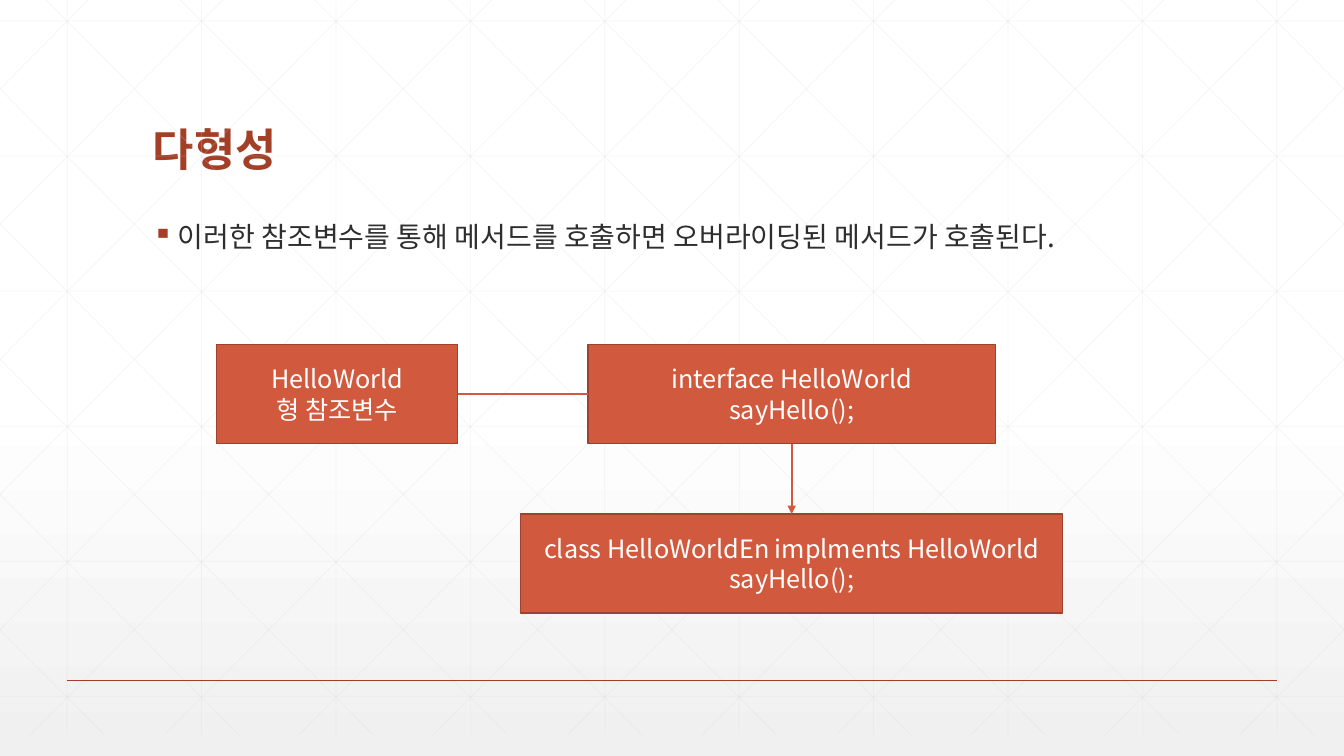
import lxml.etree
import pptx
import pptx.dml.color
import pptx.enum.shapes
import pptx.enum.text
import pptx.oxml.ns
import pptx.util

RGBColor = pptx.dml.color.RGBColor
ALIGN = pptx.enum.text.PP_ALIGN
ANCHOR = pptx.enum.text.MSO_ANCHOR
STRAIGHT = pptx.enum.shapes.MSO_CONNECTOR.STRAIGHT
qn = pptx.oxml.ns.qn

FONT = "Noto Sans CJK KR"
WHITE = RGBColor(0xFF, 0xFF, 0xFF)
PAPER_END = RGBColor(0xF0, 0xF0, 0xF0)
LATTICE = RGBColor(0xD9, 0xD9, 0xD9)
ACCENT = RGBColor(0xA4, 0x3F, 0x27)
INK = RGBColor(0x2D, 0x2E, 0x2D)
BOX_FILL = RGBColor(0xD1, 0x5A, 0x3E)
BOX_LINE = RGBColor(0x9B, 0x43, 0x2E)

UNIT = pptx.util.Inches(1) / 12
COLUMNS, ROWS = 160, 90
PITCH = 16
LEFT, TOP, RIGHT, BOTTOM = 0, 1, 2, 3


def grid(*cells):
    return [round(cell * UNIT) for cell in cells]


def write(frame, text, size=18, color=WHITE, bold=False, align=ALIGN.LEFT,
          anchor=ANCHOR.TOP, line_spacing=None, space_before=None):
    frame.word_wrap = True
    frame.auto_size = pptx.enum.text.MSO_AUTO_SIZE.NONE
    frame.vertical_anchor = anchor
    frame.text = text
    for paragraph in frame.paragraphs:
        paragraph.alignment = align
        paragraph.line_spacing = line_spacing
        paragraph.space_before = space_before
        for run in paragraph.runs:
            run.font.name = FONT
            run.font.size = pptx.util.Pt(size)
            run.font.bold = bold
            run.font.color.rgb = color
            east_asian = lxml.etree.SubElement(run.font._element, qn("a:ea"))
            east_asian.set("typeface", FONT)


def draw_line(slide, start, end, color, width, opacity=None):
    line = slide.shapes.add_connector(STRAIGHT, *grid(*start, *end))
    line.line.color.rgb = color
    line.line.width = pptx.util.Pt(width)
    if opacity:
        tone = line.line._ln.find(".//" + qn("a:srgbClr"))
        lxml.etree.SubElement(tone, qn("a:alpha")).set("val", str(opacity * 1000))
    lxml.etree.SubElement(line._element.spPr, qn("a:effectLst"))
    return line


def draw_background(slide):
    fill = slide.background.fill
    fill.gradient()
    fill.gradient_angle = 270
    for stop, position, color in zip(fill.gradient_stops, (0.53, 1), (WHITE, PAPER_END)):
        stop.position = position
        stop.color.rgb = color


def draw_lattice(slide, box):
    left, top, width, height = box
    right, bottom = left + width, top + height
    segments = []
    for index in range(10):
        x = left + 8 + PITCH * index
        segments.append(((x, top), (x, bottom)))
    for index in range(6):
        y = top + 5 + 16.08 * index
        segments.append(((left, y), (right, y)))
    run = 89.45
    slope = height / run
    for index in range(-5, 10):
        origin = left + 3 + PITCH * index
        start_x, end_x = max(origin, left), min(origin + run, right)
        start_y = top + (start_x - origin) * slope
        end_y = top + (end_x - origin) * slope
        segments.append(((start_x, start_y), (end_x, end_y)))
        segments.append(((left + right - start_x, start_y),
                         (left + right - end_x, end_y)))
    for start, end in segments:
        draw_line(slide, start, end, LATTICE, 0.5, opacity=25)


def add_heading(slide, box):
    heading = slide.shapes.title
    heading.left, heading.top, heading.width, heading.height = grid(*box)
    write(heading.text_frame, "다형성", size=32, color=ACCENT, bold=True,
          anchor=ANCHOR.BOTTOM, line_spacing=0.9)


def add_statement(slide, box):
    statement = slide.shapes.add_textbox(*grid(*box))
    write(statement.text_frame,
          "이러한 참조변수를 통해 메서드를 호출하면 오버라이딩된 메서드가 호출된다.",
          size=20, color=INK, line_spacing=0.9, space_before=pptx.util.Pt(18))
    properties = statement.text_frame.paragraphs[0]._p.get_or_add_pPr()
    indent = pptx.util.Inches(0.25)
    properties.set("marL", str(indent))
    properties.set("indent", str(-indent))
    bullet_color = lxml.etree.SubElement(properties, qn("a:buClr"))
    lxml.etree.SubElement(bullet_color, qn("a:srgbClr")).set("val", str(ACCENT))
    lxml.etree.SubElement(properties, qn("a:buChar")).set("char", "▪")


def add_code_box(slide, text, box):
    code_box = slide.shapes.add_shape(pptx.enum.shapes.MSO_SHAPE.RECTANGLE, *grid(*box))
    code_box.shadow.inherit = False
    code_box.fill.solid()
    code_box.fill.fore_color.rgb = BOX_FILL
    code_box.line.color.rgb = BOX_LINE
    code_box.line.width = pptx.util.Pt(1)
    write(code_box.text_frame, text, align=ALIGN.CENTER, anchor=ANCHOR.MIDDLE)
    return code_box


def link(slide, source, source_side, target, target_side, arrow=False):
    line = draw_line(slide, (0, 0), (0, 0), BOX_FILL, 1.5)
    line.begin_connect(source, source_side)
    line.end_connect(target, target_side)
    if arrow:
        lxml.etree.SubElement(line.line._ln, qn("a:tailEnd")).set("type", "triangle")


def add_call_diagram(slide, box):
    left, top, width, height = box
    box_height = 11.8
    implementer_width, interface_width = 64.5, 48.5
    implementer_left = left + width - implementer_width
    interface_left = implementer_left + (implementer_width - interface_width) / 2
    reference = add_code_box(slide, "HelloWorld\n형 참조변수",
                             (left, top, 28.7, box_height))
    interface = add_code_box(slide, "interface HelloWorld\nsayHello();",
                             (interface_left, top, interface_width, box_height))
    implementer = add_code_box(
        slide, "class HelloWorldEn implments HelloWorld\nsayHello();",
        (implementer_left, top + height - box_height, implementer_width, box_height))
    link(slide, reference, 3, interface, 1)
    link(slide, interface, 2, implementer, 0, arrow=True)


def main():
    presentation = pptx.Presentation()
    presentation.slide_width, presentation.slide_height = grid(COLUMNS, ROWS)
    slide = presentation.slides.add_slide(presentation.slide_layouts[5])
    draw_background(slide)
    draw_lattice(slide, (0, -2.5, COLUMNS, ROWS))
    draw_line(slide, (8, 81), (COLUMNS - 8, 81), ACCENT, 1)
    add_heading(slide, (17, 6.6, 126, 15))
    add_statement(slide, (17, 26, 126, 50))
    add_call_diagram(slide, (25.8, 41, 100.7, 32))
    presentation.save("out.pptx")


if __name__ == "__main__":
    main()
